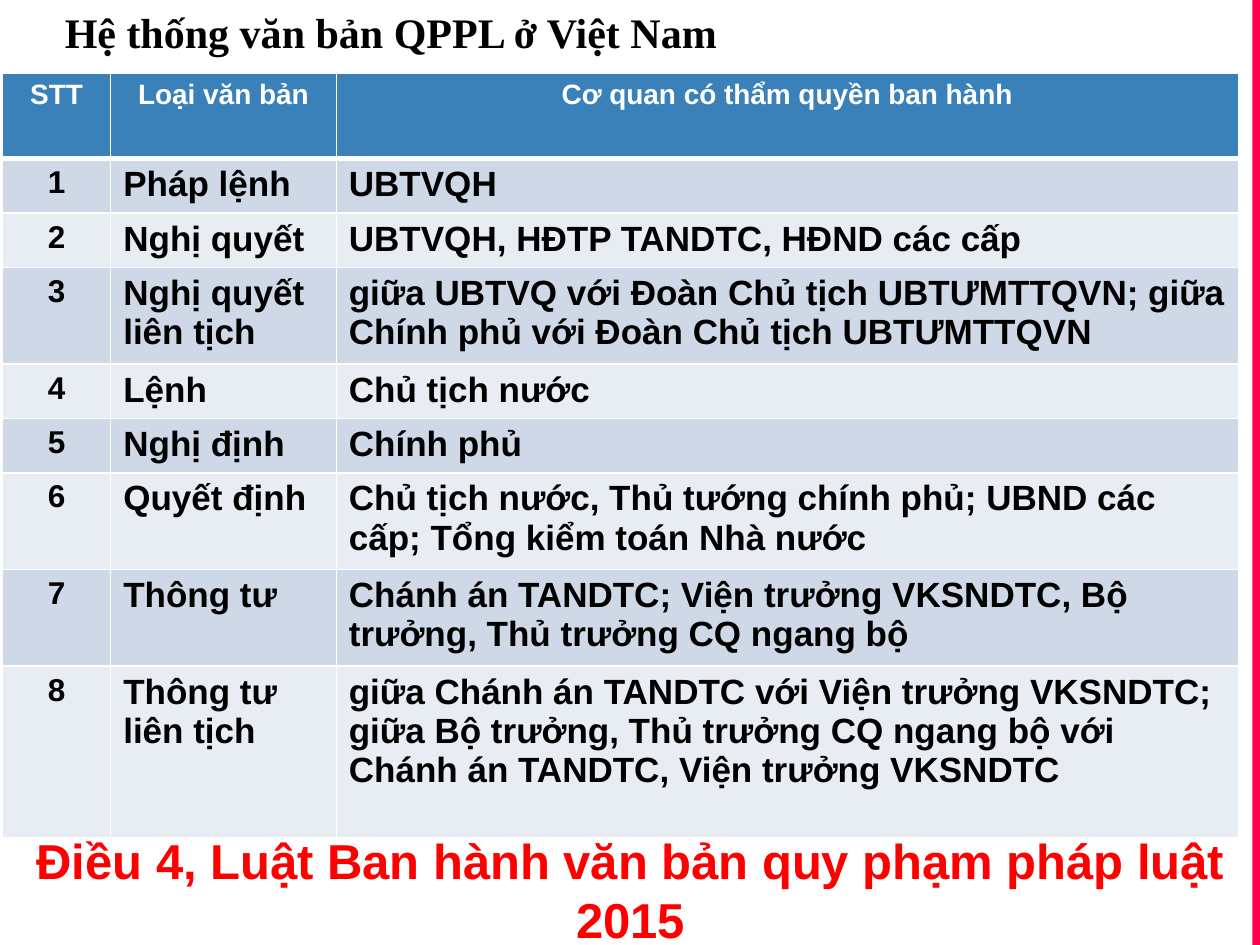
from lxml import etree
from pptx import Presentation
from pptx.dml.color import RGBColor
from pptx.enum.shapes import MSO_SHAPE
from pptx.enum.text import MSO_ANCHOR, MSO_AUTO_SIZE, PP_ALIGN
from pptx.oxml.ns import qn
from pptx.util import Pt

RECTANGLE = MSO_SHAPE.RECTANGLE
TOP = MSO_ANCHOR.TOP
NO_FIT = MSO_AUTO_SIZE.NONE
LEFT, CENTER, JUSTIFY = PP_ALIGN.LEFT, PP_ALIGN.CENTER, PP_ALIGN.JUSTIFY

WHITE = RGBColor(0xFF, 0xFF, 0xFF)
BLACK = RGBColor(0, 0, 0)
RED = RGBColor(0xFF, 0, 0)
CRIMSON = RGBColor(0xFF, 0, 0x4E)
HEADER_BLUE = RGBColor(0x3A, 0x81, 0xBA)
BAND_COLORS = (RGBColor(0xCE, 0xD8, 0xE7), RGBColor(0xE8, 0xED, 0xF3))

TITLE_ONLY_LAYOUT = 5
COLUMN_WIDTHS = (61.9, 128.9, 515.5)
HEADER_HEIGHT, LAST_ROW_HEIGHT = 48.9, 98
ONE_LINE, TWO_LINES = 31.1, 55.2

HEADINGS = ("STT", "Loại văn bản", "Cơ quan có thẩm quyền ban hành")
DOCUMENTS = (
    ("Pháp lệnh", "UBTVQH", ONE_LINE),
    ("Nghị quyết", "UBTVQH, HĐTP TANDTC, HĐND các cấp", ONE_LINE),
    ("Nghị quyết liên tịch",
     "giữa UBTVQ với Đoàn Chủ tịch UBTƯMTTQVN; giữa Chính phủ với "
     "Đoàn Chủ tịch UBTƯMTTQVN", TWO_LINES),
    ("Lệnh", "Chủ tịch nước", ONE_LINE),
    ("Nghị định", "Chính phủ", ONE_LINE),
    ("Quyết định",
     "Chủ tịch nước, Thủ tướng chính phủ; UBND các cấp; "
     "Tổng kiểm toán Nhà nước", TWO_LINES),
    ("Thông tư",
     "Chánh án TANDTC; Viện trưởng VKSNDTC, Bộ trưởng, "
     "Thủ trưởng CQ ngang bộ", TWO_LINES),
    ("Thông tư liên tịch",
     "giữa Chánh án TANDTC với Viện trưởng VKSNDTC; giữa Bộ trưởng, "
     "Thủ trưởng CQ ngang bộ với Chánh án TANDTC, Viện trưởng VKSNDTC",
     LAST_ROW_HEIGHT),
)


def write_text(frame, text, size, color, alignment, font_name="Arial"):
    """Put one bold paragraph into a text frame."""
    frame.text = text
    paragraph = frame.paragraphs[0]
    paragraph.alignment = alignment
    font = paragraph.font
    font.name, font.size, font.bold = font_name, Pt(size), True
    font.color.rgb = color


def place(shape, left, top, width, height):
    """Set the position and size of a shape in points."""
    shape.left, shape.top = Pt(left), Pt(top)
    shape.width, shape.height = Pt(width), Pt(height)


def add_title(slide, text):
    """Fill and position the title placeholder."""
    title = slide.shapes.title
    place(title, 23.8, 0, 453.6, 36)
    frame = title.text_frame
    write_text(frame, text, 24, BLACK, JUSTIFY, "Times New Roman")
    frame.margin_left = Pt(13.2)
    frame.vertical_anchor = TOP
    frame.auto_size = NO_FIT


def add_side_bar(slide):
    """Draw the coloured bar along the right edge."""
    bar = slide.shapes.add_shape(RECTANGLE, Pt(715.7), 0, Pt(4.3), Pt(540))
    bar.shadow.inherit = False
    bar.fill.solid()
    bar.fill.fore_color.rgb = CRIMSON
    bar.line.fill.background()


def set_borders(cell, bottom_width):
    """Give a cell white borders ahead of its fill."""
    properties = cell._tc.get_or_add_tcPr()
    widths = {"a:lnL": 1, "a:lnR": 1, "a:lnT": 1, "a:lnB": bottom_width}
    for index, (tag, width) in enumerate(widths.items()):
        line = etree.Element(qn(tag), w=str(Pt(width)))
        fill = etree.SubElement(line, qn("a:solidFill"))
        etree.SubElement(fill, qn("a:srgbClr"), val=str(WHITE))
        properties.insert(index, line)


def fill_row(table, row, texts, sizes, alignments, text_color, fill_color,
             bottom_width=1):
    """Write and format all cells of one table row."""
    for column, text in enumerate(texts):
        cell = table.cell(row, column)
        write_text(cell.text_frame, text, sizes[column], text_color,
                   alignments[column])
        cell.fill.solid()
        cell.fill.fore_color.rgb = fill_color
        set_borders(cell, bottom_width)


def add_document_table(slide):
    """Add the table of legal documents and issuing bodies."""
    heights = [HEADER_HEIGHT] + [document[2] for document in DOCUMENTS]
    table = slide.shapes.add_table(
        len(heights), len(HEADINGS), Pt(1.4), Pt(41.8),
        Pt(sum(COLUMN_WIDTHS)), Pt(sum(heights))).table
    for column, width in zip(table.columns, COLUMN_WIDTHS):
        column.width = Pt(width)
    for row, height in zip(table.rows, heights):
        row.height = Pt(height)
    fill_row(table, 0, HEADINGS, (16,) * 3, (CENTER,) * 3, WHITE,
             HEADER_BLUE, bottom_width=3)
    for number, (kind, issuer, _) in enumerate(DOCUMENTS, start=1):
        fill_row(table, number, (str(number), kind, issuer), (18, 20, 20),
                 (CENTER, LEFT, LEFT), BLACK, BAND_COLORS[(number - 1) % 2])


def add_citation(slide, text):
    """Add the red legal reference below the table."""
    box = slide.shapes.add_textbox(Pt(12.2), Pt(470.9), Pt(696.2), Pt(74.9))
    box.text_frame.word_wrap = True
    write_text(box.text_frame, text, 28, RED, CENTER)


def main():
    """Build and save the slide."""
    presentation = Presentation()
    presentation.slide_width, presentation.slide_height = Pt(720), Pt(540)
    layout = presentation.slide_layouts[TITLE_ONLY_LAYOUT]
    slide = presentation.slides.add_slide(layout)
    add_side_bar(slide)
    add_document_table(slide)
    add_citation(slide, "Điều 4, Luật Ban hành văn bản quy phạm pháp luật 2015")
    add_title(slide, "Hệ thống văn bản QPPL ở Việt Nam")
    presentation.save("out.pptx")


if __name__ == "__main__":
    main()
